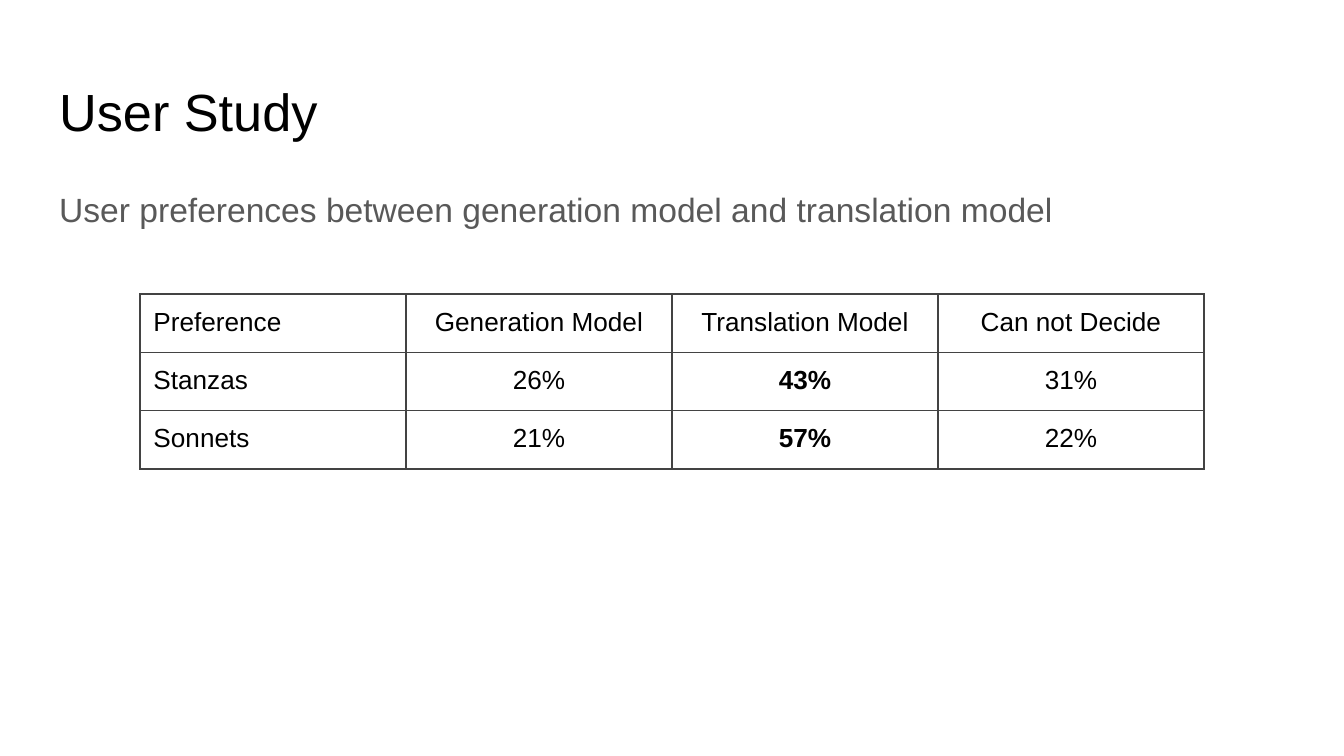
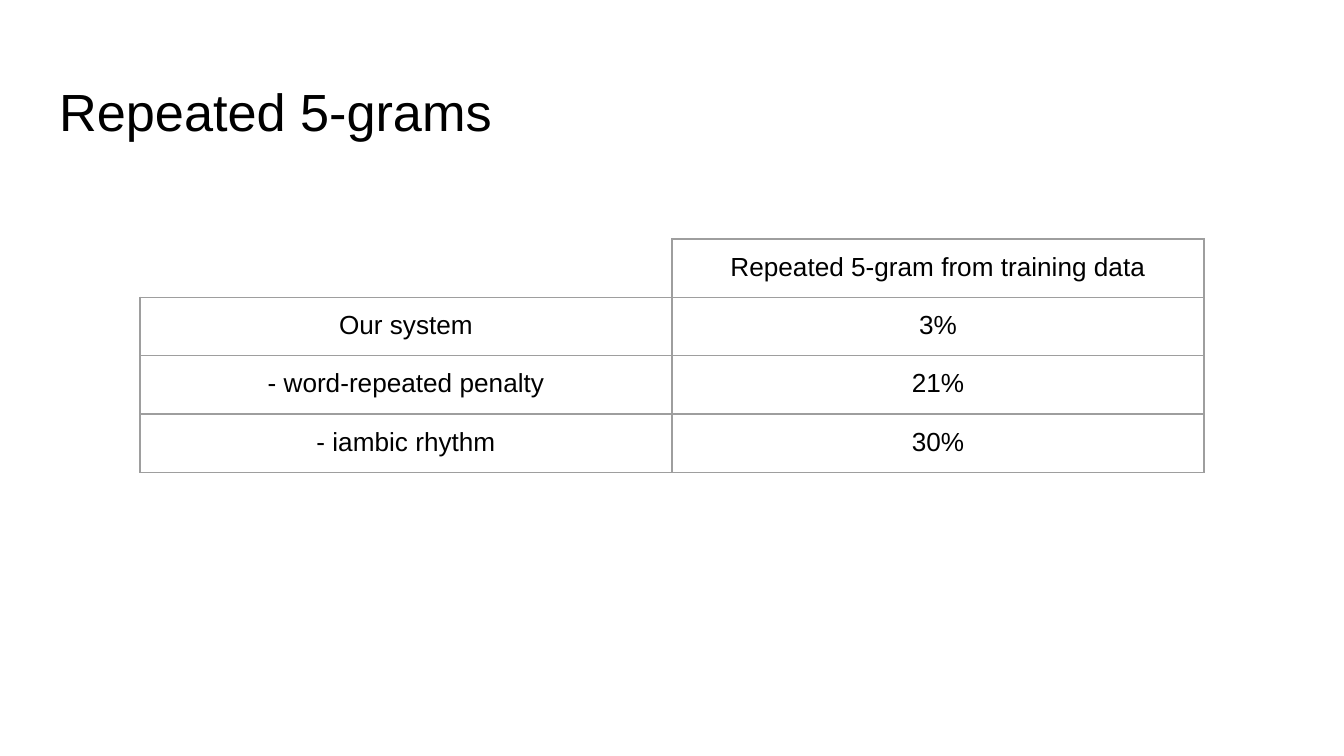
import lxml.etree
import pptx
import pptx.dml.color
import pptx.enum.text
import pptx.oxml.ns
import pptx.util

PX = pptx.util.Inches(10) / 1344
FONT = "Arial"
BLACK = pptx.dml.color.RGBColor(0x00, 0x00, 0x00)
BODY_GREY = pptx.dml.color.RGBColor(0x59, 0x59, 0x59)
DARK_BORDER = pptx.dml.color.RGBColor(0x43, 0x43, 0x43)
LIGHT_BORDER = pptx.dml.color.RGBColor(0x9E, 0x9E, 0x9E)

LEFT = pptx.enum.text.PP_ALIGN.LEFT
CENTER = pptx.enum.text.PP_ALIGN.CENTER

TEXT_LEFT, TEXT_WIDTH = 46, 1252
TABLE_LEFT, TABLE_WIDTH, ROW_HEIGHT = 140, 1064, 56
INSET = pptx.util.Inches(0.1)
BORDER_WIDTH = pptx.util.Pt(0.75)

PREFERENCES = [
    ["Preference", "Generation Model", "Translation Model", "Can not Decide"],
    ["Stanzas", "26%", "43%", "31%"],
    ["Sonnets", "21%", "57%", "22%"],
]
REPEATED_SHARES = [
    ["", "Repeated 5-gram from training data"],
    ["Our system", "3%"],
    ["- word-repeated penalty", "21%"],
    ["- iambic rhythm", "30%"],
]


def px(length):
    return pptx.util.Emu(round(length * PX))


def set_margins(target, margin):
    target.margin_left = target.margin_right = margin
    target.margin_top = target.margin_bottom = margin


def write_text(frame, text, size=14, color=BLACK, bold=False, align=LEFT,
               line_spacing=None, space_after=None):
    paragraph = frame.paragraphs[0]
    paragraph.alignment = align
    paragraph.line_spacing = line_spacing
    paragraph.space_after = space_after
    run = paragraph.add_run()
    run.text = text
    run.font.name = FONT
    run.font.size = pptx.util.Pt(size)
    run.font.bold = bold
    run.font.color.rgb = color


def add_text(slide, text, top, height, **text_format):
    shape = slide.shapes.add_textbox(
        px(TEXT_LEFT), px(top), px(TEXT_WIDTH), px(height))
    frame = shape.text_frame
    frame.word_wrap = True
    set_margins(frame, INSET)
    write_text(frame, text, **text_format)


def add_titled_slide(presentation, title):
    slide = presentation.slides.add_slide(presentation.slide_layouts[6])
    add_text(slide, title, 66, 84, size=28)
    return slide


def set_borders(cell, color, sides):
    """Draw the sides named in sides (letters of LRTB) and clear the others."""
    qn = pptx.oxml.ns.qn
    properties = cell._tc.get_or_add_tcPr()
    for index, side in enumerate("LRTB"):
        line = lxml.etree.Element(qn(f"a:ln{side}"), w=str(BORDER_WIDTH))
        if side in sides:
            fill = lxml.etree.SubElement(line, qn("a:solidFill"))
            lxml.etree.SubElement(fill, qn("a:srgbClr"), val=str(color))
        else:
            lxml.etree.SubElement(line, qn("a:noFill"))
        properties.insert(index, line)


def add_table(slide, rows, top, border, left_column=None, bold_cells=()):
    column_count = len(rows[0])
    table = slide.shapes.add_table(
        len(rows), column_count, px(TABLE_LEFT), px(top),
        px(TABLE_WIDTH), px(ROW_HEIGHT * len(rows))).table
    table.first_row = table.horz_banding = False
    for column in table.columns:
        column.width = px(TABLE_WIDTH / column_count)
    for row_index, row in enumerate(rows):
        table.rows[row_index].height = px(ROW_HEIGHT)
        for column_index, text in enumerate(row):
            cell = table.cell(row_index, column_index)
            cell.fill.background()
            # An empty corner keeps only the sides it shares with its neighbours.
            set_borders(cell, border, "LRTB" if text else "RB")
            set_margins(cell, INSET if text else 0)
            if text:
                write_text(
                    cell.text_frame, text,
                    align=LEFT if column_index == left_column else CENTER,
                    bold=(row_index, column_index) in bold_cells)


def add_user_study(presentation):
    slide = add_titled_slide(presentation, "User Study")
    add_text(slide,
             "User preferences between generation model and translation model",
             169, 503, size=18, color=BODY_GREY, line_spacing=1.15,
             space_after=pptx.util.Pt(16))
    add_table(slide, PREFERENCES, 294, DARK_BORDER,
              left_column=0, bold_cells=[(1, 2), (2, 2)])


def add_repeated_grams(presentation):
    slide = add_titled_slide(presentation, "Repeated 5-grams")
    add_table(slide, REPEATED_SHARES, 239, LIGHT_BORDER)


def main():
    presentation = pptx.Presentation()
    presentation.slide_width = px(1344)
    presentation.slide_height = px(756)
    add_user_study(presentation)
    add_repeated_grams(presentation)
    presentation.save("out.pptx")


if __name__ == "__main__":
    main()
